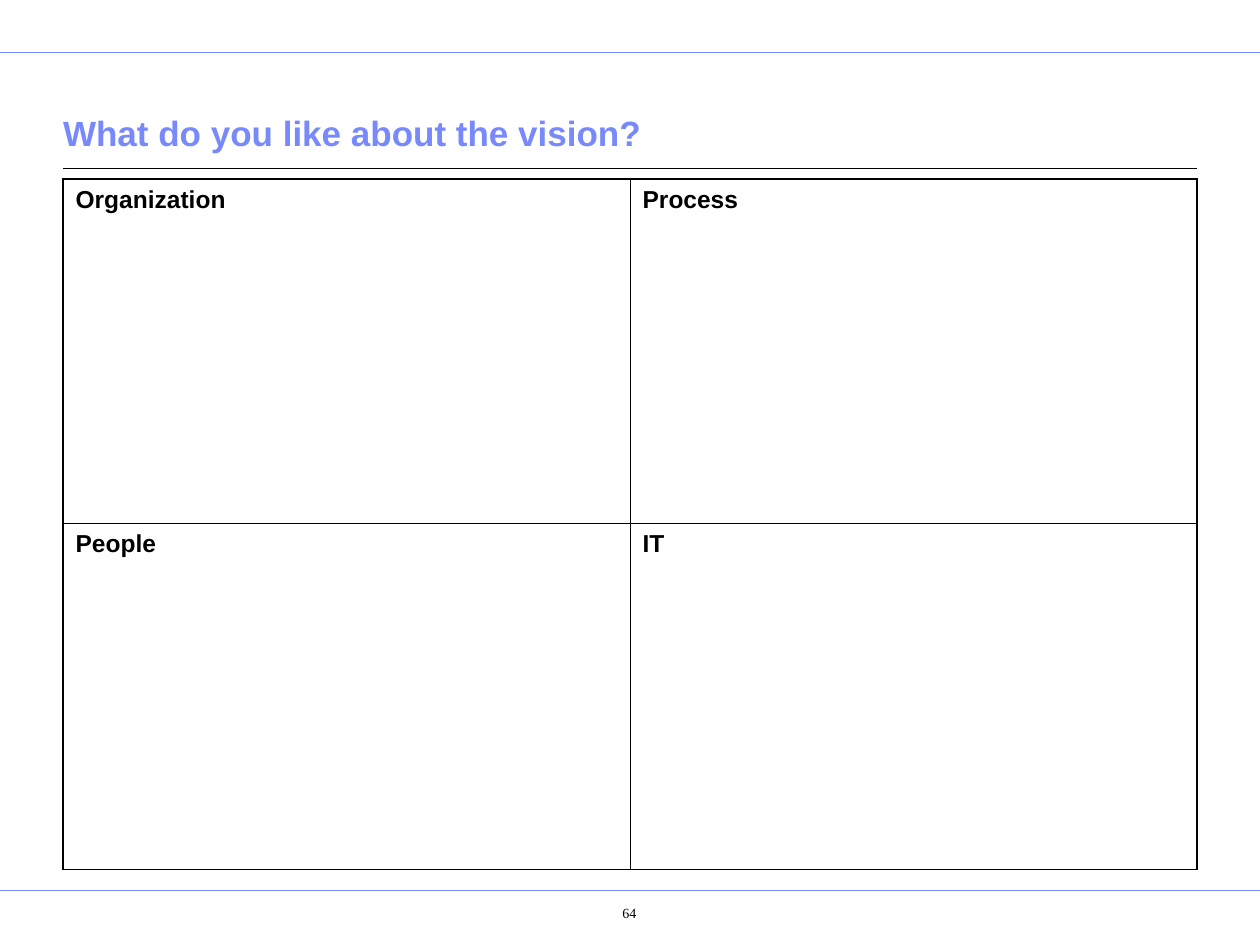
from dataclasses import dataclass

from lxml.etree import SubElement
from pptx import Presentation
from pptx.dml.color import RGBColor
from pptx.enum.shapes import MSO_CONNECTOR
from pptx.enum.text import MSO_ANCHOR, MSO_AUTO_SIZE, PP_ALIGN
from pptx.oxml.ns import qn
from pptx.util import Inches, Pt


@dataclass(frozen=True)
class Theme:
    accent: str = "7889FB"
    ink: str = "000000"
    sans: str = "Arial"
    serif: str = "Times New Roman"
    title_size: float = 20
    heading_size: float = 14
    number_size: float = 8
    outer_border: float = 1.08
    inner_border: float = 0.45


THEME = Theme()
LEFT, WIDTH = 0.5, 9
QUADRANTS = [["Organization", "Process"], ["People", "IT"]]
ROW_HEIGHTS = [2.73, 2.75]


def set_all(target, values):
    for name, value in values.items():
        setattr(target, name, value)


def set_margins(target, left, top, right, bottom):
    set_all(target, {"margin_left": Inches(left), "margin_top": Inches(top),
                     "margin_right": Inches(right), "margin_bottom": Inches(bottom)})


def write(frame, text, size, face, color, bold=False, **paragraph_format):
    paragraph = frame.paragraphs[0]
    set_all(paragraph, paragraph_format)
    run = paragraph.add_run()
    run.text = text
    set_all(run.font, {"size": Pt(size), "name": face, "bold": bold})
    run.font.color.rgb = RGBColor.from_string(color)


def add_rule(slide, left, right, y, color, width):
    rule = slide.shapes.add_connector(
        MSO_CONNECTOR.STRAIGHT, Inches(left), Inches(y), Inches(right), Inches(y))
    rule.line.color.rgb = RGBColor.from_string(color)
    rule.line.width = Pt(width)
    SubElement(rule._element.spPr, qn("a:effectLst"))


def add_title(slide, text):
    title = slide.shapes.title
    set_all(title, {"left": Inches(LEFT), "top": Inches(0.64),
                    "width": Inches(WIDTH), "height": Inches(0.63)})
    frame = title.text_frame
    set_all(frame, {"word_wrap": True, "auto_size": MSO_AUTO_SIZE.NONE,
                    "vertical_anchor": MSO_ANCHOR.BOTTOM})
    set_margins(frame, 0, 0.05, 0, 0.05)
    write(frame, text, THEME.title_size, THEME.sans, THEME.accent,
          bold=True, alignment=PP_ALIGN.LEFT)


def set_border(cell, side, width):
    line = SubElement(cell._tc.get_or_add_tcPr(), qn(f"a:ln{side}"), w=str(Pt(width)))
    fill = SubElement(line, qn("a:solidFill"))
    SubElement(fill, qn("a:srgbClr"), val=THEME.ink)


def add_quadrants(slide):
    row_count, column_count = len(QUADRANTS), len(QUADRANTS[0])
    grid = slide.shapes.add_table(
        row_count, column_count, Inches(LEFT), Inches(1.42),
        Inches(WIDTH), Inches(sum(ROW_HEIGHTS))).table
    set_all(grid, {"first_row": False, "horz_banding": False})
    for row, height in zip(grid.rows, ROW_HEIGHTS):
        row.height = Inches(height)

    for r, headings in enumerate(QUADRANTS):
        for c, heading in enumerate(headings):
            cell = grid.cell(r, c)
            set_margins(cell, 0.1, 0.05, 0.1, 0.05)
            # Heavier lines on the outside of the grid
            outside = {"L": c == 0, "R": c == column_count - 1,
                       "T": r == 0, "B": r == row_count - 1}
            for side, is_outer in outside.items():
                set_border(cell, side,
                           THEME.outer_border if is_outer else THEME.inner_border)
            cell.fill.background()
            write(cell.text_frame, heading, THEME.heading_size, THEME.sans,
                  THEME.ink, bold=True, line_spacing=1.04)


def add_page_number(slide, number):
    frame = slide.shapes.add_textbox(
        Inches(4.27), Inches(7.11), Inches(1.15), Inches(0.35)).text_frame
    frame.word_wrap = True
    set_margins(frame, 0.4, 0.07, 0.1, 0.05)
    write(frame, number, THEME.number_size, THEME.serif, THEME.ink,
          alignment=PP_ALIGN.CENTER)


def main():
    deck = Presentation()
    set_all(deck, {"slide_width": Inches(10), "slide_height": Inches(7.5)})
    slide = deck.slides.add_slide(deck.slide_layouts[5])

    # Header and footer rules, then the rule under the title
    for y in (0.42, 7.07):
        add_rule(slide, 0, 10, y, THEME.accent, 0.5)
    add_rule(slide, LEFT, LEFT + WIDTH, 1.34, THEME.ink, 0.75)

    # Content
    add_title(slide, "What do you like about the vision?")
    add_quadrants(slide)
    add_page_number(slide, "64")

    deck.save("out.pptx")


if __name__ == "__main__":
    main()
